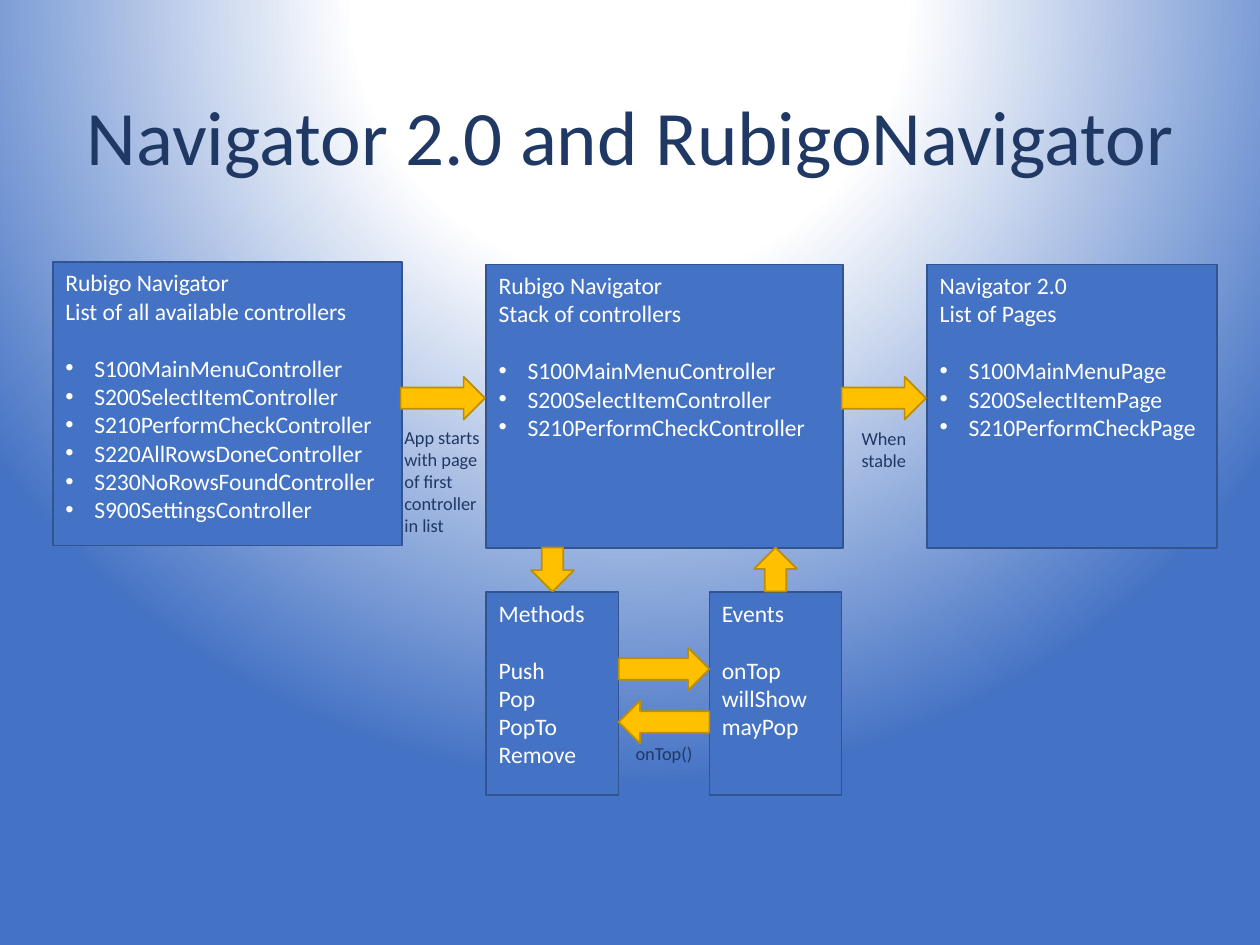
import dataclasses
import pptx
import pptx.dml.color
import pptx.enum.shapes
import pptx.enum.text
import pptx.oxml
import pptx.oxml.ns
import pptx.util

Inches = pptx.util.Inches
Pt = pptx.util.Pt
Align = pptx.enum.text.PP_ALIGN
Anchor = pptx.enum.text.MSO_ANCHOR
Kind = pptx.enum.shapes.MSO_SHAPE

FONT = "Calibri"
HUES = {
    "white": "FFFFFF",
    "blue": "4472C4",
    "edge": "325491",
    "navy": "203864",
    "gold": "FFC000",
    "rim": "BD8E00",
}
HANG = Inches(0.23)
GAP = Pt(16.4)


@dataclasses.dataclass
class Box:
    left: float
    top: float
    width: float
    height: float


@dataclasses.dataclass
class Card:
    box: Box
    heads: list[str]
    items: list[str]
    dots: bool = True


@dataclasses.dataclass
class Arrow:
    box: Box
    turn: int = 0


@dataclasses.dataclass
class Note:
    box: Box
    text: str
    align: Align = Align.CENTER


def tint(name: str) -> pptx.dml.color.RGBColor:
    return pptx.dml.color.RGBColor.from_string(HUES[name])


def place(box: Box) -> tuple:
    return tuple(Inches(n) for n in dataclasses.astuple(box))


def add_run(para, text: str, size: float, hue: str) -> None:
    run = para.add_run()
    run.text = text
    run.font.name = FONT
    run.font.size = Pt(size)
    run.font.color.rgb = tint(hue)


def add_dot(para) -> None:
    props = para._p.get_or_add_pPr()
    props.set("marL", str(HANG))
    props.set("indent", str(-HANG))
    space = pptx.oxml.ns.nsdecls("a")
    for tag in ('buFont {} typeface="Arial"', 'buChar {} char="•"'):
        props.append(pptx.oxml.parse_xml(f"<a:{tag.format(space)}/>"))


def add_shape(slide, kind: Kind, box: Box, fill: str, line: str):
    shape = slide.shapes.add_shape(kind, *place(box))
    shape.shadow.inherit = False
    shape.fill.solid()
    shape.fill.fore_color.rgb = tint(fill)
    shape.line.color.rgb = tint(line)
    shape.line.width = Pt(1)
    return shape


def draw_card(slide, card: Card) -> None:
    shape = add_shape(slide, Kind.RECTANGLE, card.box, "blue", "edge")
    frame = shape.text_frame
    frame.word_wrap = True
    frame.vertical_anchor = Anchor.TOP
    first = len(card.heads)
    for spot, text in enumerate(card.heads + card.items):
        para = frame.add_paragraph() if spot else frame.paragraphs[0]
        para.alignment = Align.LEFT
        if card.dots and spot >= first:
            add_dot(para)
        if spot == first:
            para.space_before = GAP
        add_run(para, text, 13.5, "white")


def draw_arrow(slide, arrow: Arrow) -> None:
    shape = add_shape(slide, Kind.RIGHT_ARROW, arrow.box, "gold", "rim")
    shape.rotation = arrow.turn


def draw_note(slide, note: Note) -> None:
    frame = slide.shapes.add_textbox(*place(note.box)).text_frame
    frame.word_wrap = True
    frame.margin_left = frame.margin_right = Inches(0.03)
    para = frame.paragraphs[0]
    para.alignment = note.align
    add_run(para, note.text, 10.5, "navy")


def draw_title(slide, box: Box, text: str) -> None:
    frame = slide.shapes.add_textbox(*place(box)).text_frame
    frame.word_wrap = True
    frame.vertical_anchor = Anchor.MIDDLE
    para = frame.paragraphs[0]
    para.line_spacing = 0.9
    add_run(para, text, 44, "navy")


def paint_back(slide) -> None:
    stops = "".join(
        f'<a:gs pos="{spot * 1000}"><a:srgbClr val="{HUES[name]}"/></a:gs>'
        for spot, name in ((0, "white"), (35, "white"), (100, "blue"))
    )
    back = pptx.oxml.parse_xml(
        f'<p:bg {pptx.oxml.ns.nsdecls("p", "a")}><p:bgPr>'
        f'<a:gradFill rotWithShape="1"><a:gsLst>{stops}</a:gsLst>'
        '<a:path path="circle"><a:fillToRect l="50000" t="-80000" '
        'r="50000" b="180000"/></a:path></a:gradFill>'
        "<a:effectLst/></p:bgPr></p:bg>"
    )
    slide.element.cSld.insert(0, back)


STACK = ["S100MainMenu", "S200SelectItem", "S210PerformCheck"]
MORE = ["S220AllRowsDone", "S230NoRowsFound", "S900Settings"]

CARDS = [
    Card(Box(7.36, 2.1, 2.3, 2.25), ["Navigator 2.0", "List of Pages"],
         [name + "Page" for name in STACK]),
    Card(Box(3.86, 2.1, 2.83, 2.25),
         ["Rubigo Navigator", "Stack of controllers"],
         [name + "Controller" for name in STACK]),
    Card(Box(0.42, 2.08, 2.77, 2.25),
         ["Rubigo Navigator", "List of all available controllers"],
         [name + "Controller" for name in STACK + MORE]),
    Card(Box(3.86, 4.7, 1.05, 1.61), ["Methods"],
         ["Push", "Pop", "PopTo", "Remove"], False),
    Card(Box(5.63, 4.7, 1.05, 1.61), ["Events"],
         ["onTop", "willShow", "mayPop"], False),
]
ARROWS = [
    Arrow(Box(3.18, 2.99, 0.67, 0.34)),
    Arrow(Box(6.68, 2.99, 0.67, 0.34)),
    Arrow(Box(4.21, 4.35, 0.35, 0.34), 90),
    Arrow(Box(4.91, 5.14, 0.72, 0.34)),
    Arrow(Box(4.91, 5.56, 0.72, 0.34), 180),
    Arrow(Box(5.98, 4.35, 0.35, 0.34), 270),
]
NOTES = [
    Note(Box(3.18, 3.33, 0.67, 0.98),
         "App starts with page of first controller in list", Align.LEFT),
    Note(Box(6.68, 3.34, 0.67, 0.45), "When stable"),
    Note(Box(4.91, 5.84, 0.72, 0.28), "onTop()"),
]


def main() -> None:
    deck = pptx.Presentation()
    deck.slide_width = Inches(10)
    deck.slide_height = Inches(7.5)
    slide = deck.slides.add_slide(deck.slide_layouts[6])
    paint_back(slide)
    draw_title(slide, Box(0.59, 0.39, 8.84, 1.45),
               "Navigator 2.0 and RubigoNavigator")
    for card in CARDS:
        draw_card(slide, card)
    for arrow in ARROWS:
        draw_arrow(slide, arrow)
    for note in NOTES:
        draw_note(slide, note)
    deck.save("out.pptx")


if __name__ == "__main__":
    main()
